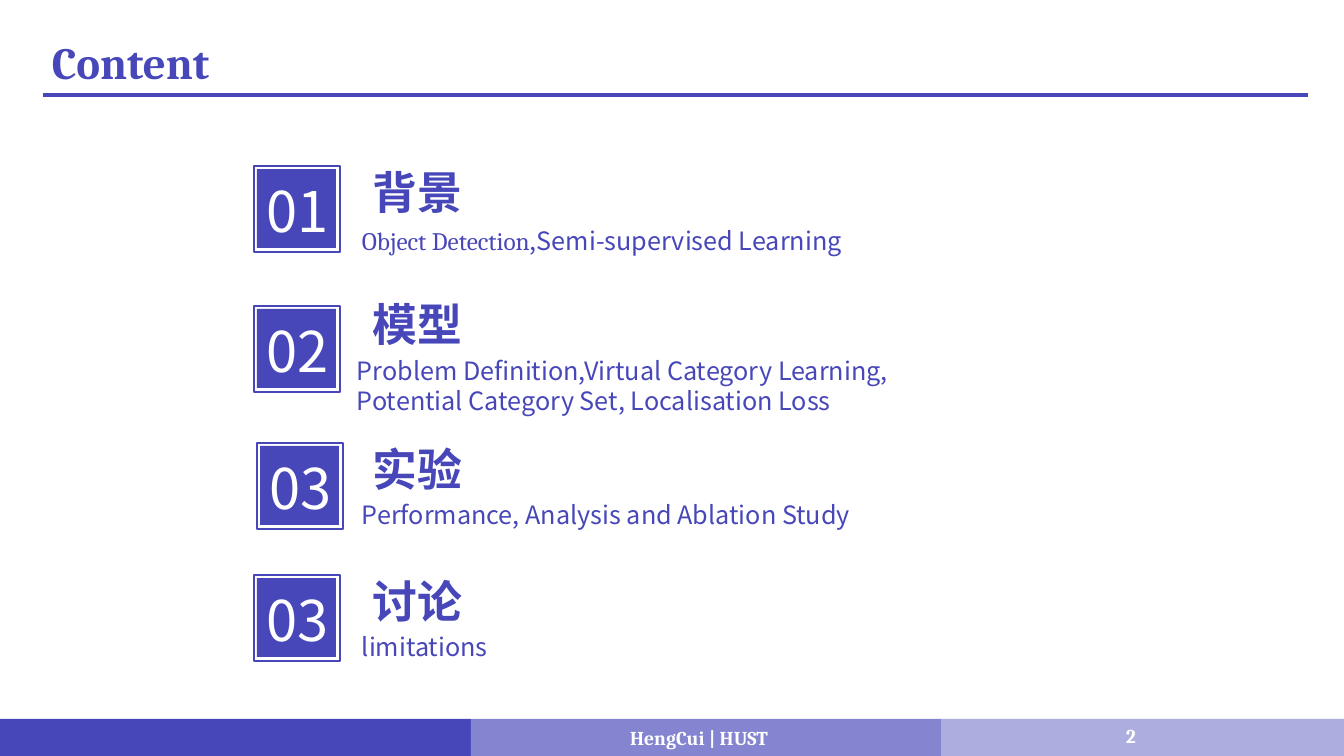
"""Build the contents slide with four numbered sections."""
from lxml.etree import SubElement
from pptx import Presentation
from pptx.dml.color import RGBColor
from pptx.enum.shapes import MSO_CONNECTOR, MSO_SHAPE
from pptx.enum.text import MSO_ANCHOR, PP_ALIGN
from pptx.oxml.ns import qn
from pptx.util import Pt

PX = 914400 / 100.8
INDIGO, WHITE = "4747BA", "FFFFFF"
SERIF, SANS = "Cambria", "Noto Sans CJK SC"


def rgb(value):
    return RGBColor.from_string(value)


def add_text(s, box, lines, size, font, color=INDIGO, bold=False,
             align=PP_ALIGN.LEFT, anchor=MSO_ANCHOR.TOP, spacing=None):
    tf = s.shapes.add_textbox(*[round(v * PX) for v in box]).text_frame
    tf.word_wrap = True
    tf.vertical_anchor = anchor
    for i, line in enumerate(lines):
        p = tf.add_paragraph() if i else tf.paragraphs[0]
        p.alignment = align
        p.line_spacing = spacing
        p.font.size = Pt(size)
        p.font.bold = bold
        p.font.color.rgb = rgb(color)
        if isinstance(line, str):
            p.font.name = font
            p.add_run().text = line
        else:
            for text, run_font in line:
                r = p.add_run()
                r.text = text
                r.font.name = run_font


prs = Presentation()
prs.slide_width, prs.slide_height = round(1344 * PX), round(756 * PX)
s = prs.slides.add_slide(prs.slide_layouts[6])

for left, width, color in [(0, 471, INDIGO), (471, 470, "8484D1"), (941, 403, "ADADE0")]:
    sp = s.shapes.add_shape(MSO_SHAPE.RECTANGLE, *[round(v * PX) for v in (left, 719, width, 37)])
    sp.shadow.inherit = False
    sp.fill.solid()
    sp.fill.fore_color.rgb = rgb(color)
    sp.line.fill.background()

for box, text in [((450, 723, 498, 30), "HengCui | HUST"), ((1086, 706, 90, 60), "2")]:
    add_text(s, box, [text], 14, SERIF, WHITE, True, PP_ALIGN.CENTER, MSO_ANCHOR.MIDDLE)

rule = s.shapes.add_connector(MSO_CONNECTOR.STRAIGHT, *[round(v * PX) for v in (43, 95, 1308, 95)])
rule.line.color.rgb = rgb(INDIGO)
rule.line.width = Pt(3)
SubElement(rule._element.spPr, qn("a:effectLst"))
add_text(s, (42, 36, 750, 58), ["Content"], 32, SERIF, bold=True, spacing=0.9)

sections = [
    ("01", "背景", 254, 166, 166, 352, 220,
     [[("Object Detection", SERIF), (",Semi-supervised Learning", SANS)]]),
    ("02", "模型", 254, 306, 298, 347, 350,
     ["Problem Definition,Virtual Category Learning,",
      "Potential Category Set, Localisation Loss"]),
    ("03", "实验", 257, 443, 443, 352, 494, ["Performance, Analysis and Ablation Study"]),
    ("03", "讨论", 254, 575, 575, 352, 626, ["limitations"]),
]
for number, heading, left, top, heading_top, detail_left, detail_top, details in sections:
    for inset, size in [(3, 79), (0, 86)]:
        box = (left + inset, top + inset, size, size)
        sp = s.shapes.add_shape(MSO_SHAPE.RECTANGLE, *[round(v * PX) for v in box])
        sp.shadow.inherit = False
        if inset:
            sp.fill.solid()
            sp.fill.fore_color.rgb = rgb(INDIGO)
            sp.line.fill.background()
        else:
            sp.fill.background()
            sp.line.color.rgb = rgb(INDIGO)
            sp.line.width = Pt(1)
    add_text(s, (left + 3, top + 6, 83, 78), [number], 40, SANS, WHITE)
    add_text(s, (363, heading_top, 120, 58), [heading], 32, SERIF, bold=True, spacing=0.9)
    add_text(s, (detail_left, detail_top, 690, 40 * len(details)), details, 18, SANS)

prs.save("out.pptx")
